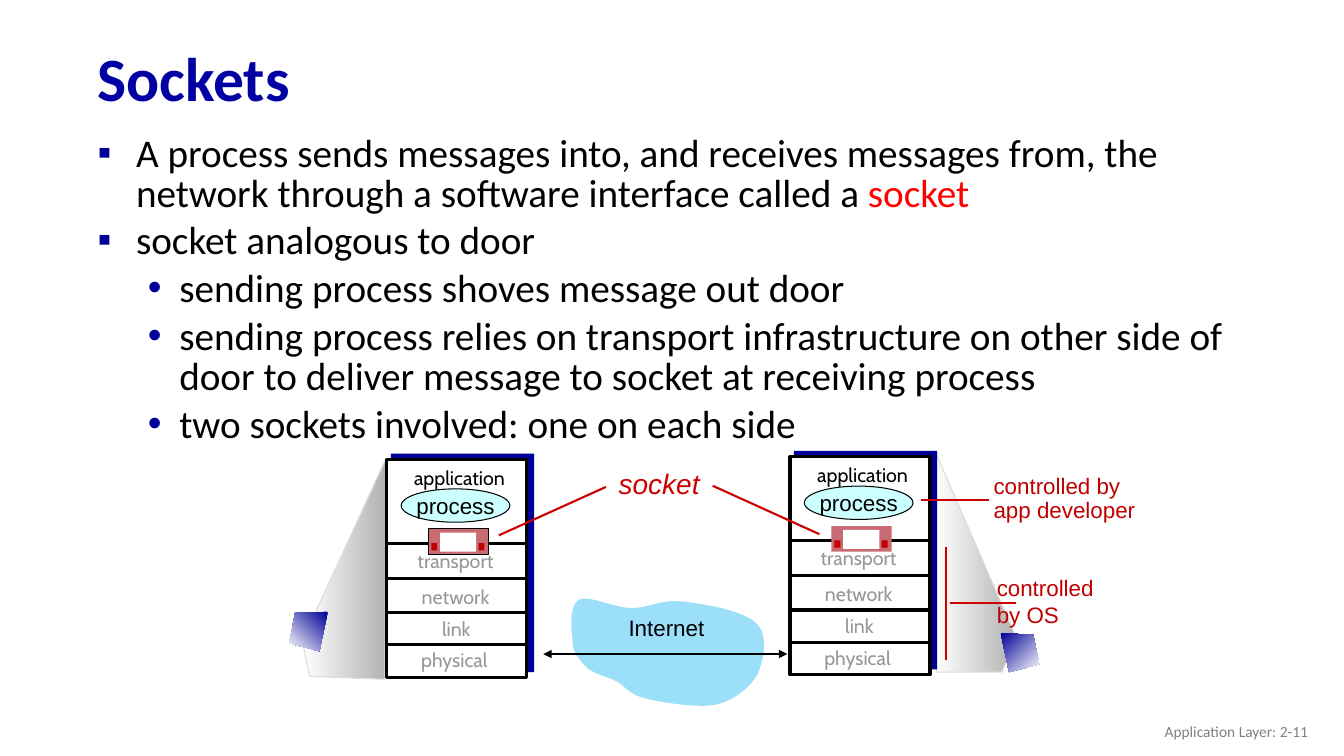
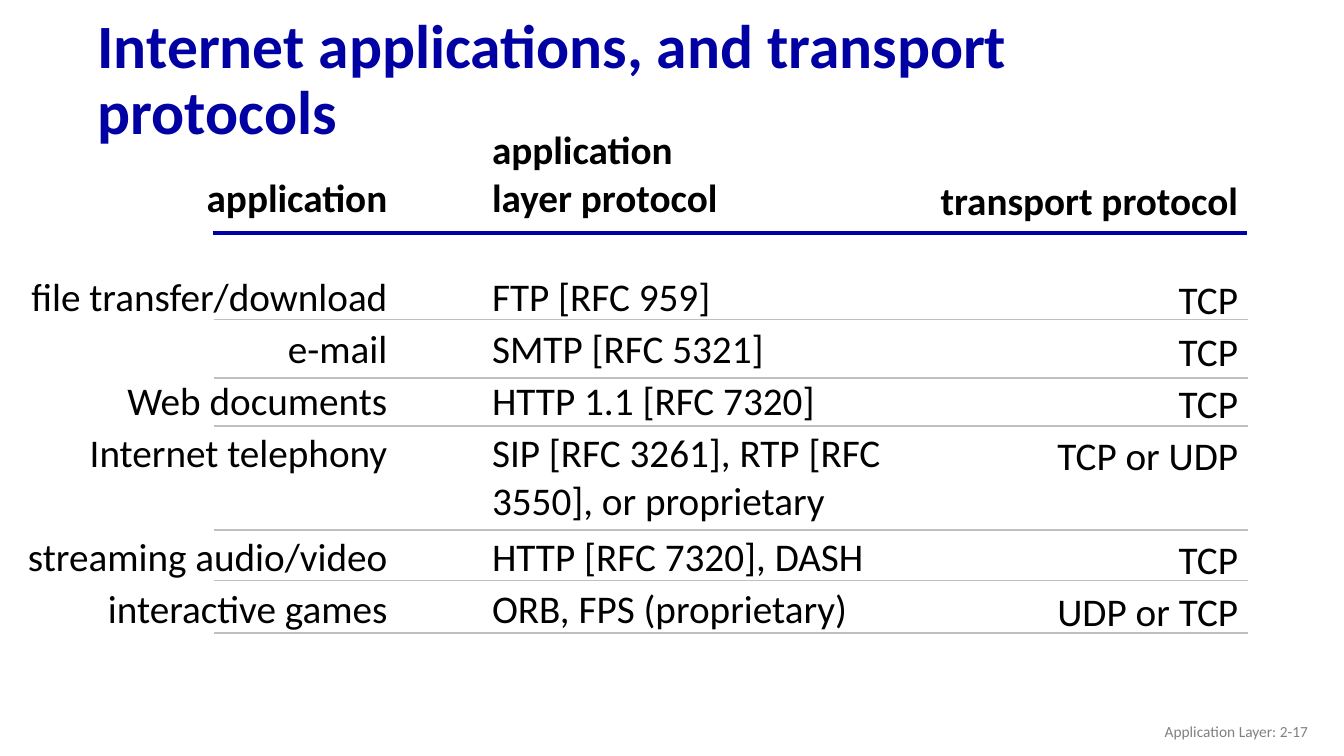
from lxml import etree
from pptx import Presentation
from pptx.chart.data import CategoryChartData  # noqa: F401
from pptx.dml.color import RGBColor
from pptx.enum import shapes, text
from pptx.oxml import ns
from pptx.util import Cm, Pt

TITLE_BLUE = RGBColor(0x00, 0x00, 0xA3)
NAVY = RGBColor(0x00, 0x00, 0x99)
RULE_BLUE = RGBColor(0x00, 0x00, 0xA8)
BLACK = RGBColor(0x00, 0x00, 0x00)
WHITE = RGBColor(0xFF, 0xFF, 0xFF)
RED = RGBColor(0xFF, 0x00, 0x00)
CRIMSON = RGBColor(0xCC, 0x00, 0x00)
DARK_RED = RGBColor(0xC0, 0x00, 0x00)
ROSE = RGBColor(0xC9, 0x6B, 0x72)
PALE_CYAN = RGBColor(0xCC, 0xFF, 0xFF)
CLOUD_BLUE = RGBColor(0x9C, 0xDF, 0xF9)
FOOTER_GRAY = RGBColor(0x80, 0x80, 0x80)
LAYER_GRAY = RGBColor(0x96, 0x96, 0x96)
BEAM_GRAY = RGBColor(0xB2, 0xB2, 0xB2)
EDGE_GRAY = RGBColor(0xDD, 0xDD, 0xDD)
RULE_GRAY = RGBColor(0xBF, 0xBF, 0xBF)

LEFT, CENTER, RIGHT = text.PP_ALIGN.LEFT, text.PP_ALIGN.CENTER, text.PP_ALIGN.RIGHT
TOP, MIDDLE, BOTTOM = (text.MSO_ANCHOR.TOP, text.MSO_ANCHOR.MIDDLE,
                       text.MSO_ANCHOR.BOTTOM)
RECTANGLE, OVAL = shapes.MSO_SHAPE.RECTANGLE, shapes.MSO_SHAPE.OVAL

# Cloud outline in cm: a start point, then cubic curves (two handles and an end)
CLOUD_START = (14.43, 16.1)
CLOUD_CURVES = [
    ((14.38, 15.82), (14.35, 15.24), (14.6, 15.11)),
    ((14.86, 14.99), (15.47, 15.32), (15.9, 15.32)),
    ((16.33, 15.34), (16.66, 15.09), (17.2, 15.16)),
    ((17.73, 15.21), (18.75, 15.39), (19.05, 15.7)),
    ((19.38, 15.98), (19.25, 16.61), (19.1, 16.97)),
    ((18.92, 17.3), (18.54, 17.63), (18.08, 17.75)),
    ((17.6, 17.86), (16.69, 17.7), (16.26, 17.6)),
    ((15.85, 17.5), (15.77, 17.3), (15.54, 17.17)),
    ((15.29, 17.04), (14.96, 16.99), (14.78, 16.81)),
    ((14.61, 16.64), (14.4, 16.41), (14.43, 16.1)),
]

BULLETS = [
    (0, "A process sends messages into, and receives messages from, the network "
        "through a software interface called a ", "socket"),
    (0, "socket analogous to door", ""),
    (1, "sending process shoves message out door", ""),
    (1, "sending process relies on transport infrastructure on other side of door "
        "to deliver message to socket at receiving process", ""),
    (1, "two sockets involved: one on each side", ""),
]
BULLET_LEVELS = [("▪", 0.97, 0.97), ("•", 2.06, 0.79)]  # mark, indent, hang

PROTOCOLS = [
    ("application", "application\nlayer protocol", "transport protocol"),
    ("file transfer/download", "FTP [RFC 959]", "TCP"),
    ("e-mail", "SMTP [RFC 5321]", "TCP"),
    ("Web documents", "HTTP 1.1 [RFC 7320]", "TCP"),
    ("Internet telephony", "SIP [RFC 3261], RTP [RFC 3550], or proprietary",
     "TCP or UDP"),
    ("streaming audio/video", "HTTP [RFC 7320], DASH", "TCP"),
    ("interactive games", "ORB, FPS (proprietary)", "UDP or TCP"),
]


def style(para, size, color, face="Calibri", align=LEFT, spacing=1.0,
          bold=False, italic=False):
    para.alignment = align
    para.line_spacing = spacing
    font = para.font
    font.name, font.size, font.bold, font.italic = face, Pt(size), bold, italic
    font.color.rgb = color


def add_text(page, box, words, size, color, anchor=TOP, **look):
    """Place a text box; each line of words becomes a paragraph."""
    frame = page.shapes.add_textbox(*map(Cm, box)).text_frame
    frame.word_wrap = True
    frame.vertical_anchor = anchor
    frame.text = words
    for para in frame.paragraphs:
        style(para, size, color, **look)


def paint(shape, fill, edge=None, width=0.75):
    shape.shadow.inherit = False
    shape.fill.solid()
    shape.fill.fore_color.rgb = fill
    outline(shape, edge, width)


def outline(shape, edge, width=0.75):
    if edge is None:
        shape.line.fill.background()
    else:
        shape.line.color.rgb = edge
        shape.line.width = Pt(width)


def add_block(page, kind, box, fill, edge=None, width=0.75):
    shape = page.shapes.add_shape(kind, *map(Cm, box))
    paint(shape, fill, edge, width)
    return shape


def add_line(page, start, end, color, width, arrows=False):
    line = page.shapes.add_connector(shapes.MSO_CONNECTOR.STRAIGHT,
                                     *map(Cm, start + end))
    line.line.color.rgb = color
    line.line.width = Pt(width)
    if arrows:
        stroke = line.line._get_or_add_ln()
        for tag in ("a:headEnd", "a:tailEnd"):
            etree.SubElement(stroke, ns.qn(tag), type="triangle")
    etree.SubElement(line._element.spPr, ns.qn("a:effectLst"))


def add_outline(page, points):
    corners = [(Cm(x), Cm(y)) for x, y in points]
    builder = page.shapes.build_freeform(*corners[0], scale=1.0)
    builder.add_line_segments(corners[1:], close=True)
    return builder.convert_to_shape()


def add_gradient(page, points, first, last, angle, edge=None):
    shape = add_outline(page, points)
    shape.shadow.inherit = False
    shape.fill.gradient()
    shape.fill.gradient_angle = angle
    for stop, color in zip(shape.fill.gradient_stops, (first, last)):
        stop.color.rgb = color
    outline(shape, edge)


def add_page(deck, title, number):
    """Add a blank slide with the shared title and footer."""
    page = deck.slides.add_slide(deck.slide_layouts[6])
    add_text(page, (2.21, 0.81, 29.21, 2.49), title, 44, TITLE_BLUE, MIDDLE,
             spacing=0.9, bold=True)
    add_text(page, (25.6, 17.91, 7.62, 1.02), f"Application Layer: 2-{number}",
             11, FOOTER_GRAY, MIDDLE, align=RIGHT)
    return page


def add_bullets(page, box):
    frame = page.shapes.add_textbox(*map(Cm, box)).text_frame
    frame.word_wrap = True
    for index, (level, words, accent) in enumerate(BULLETS):
        para = frame.paragraphs[0] if index == 0 else frame.add_paragraph()
        mark, indent, hang = BULLET_LEVELS[level]
        para.level = level
        para.add_run().text = words
        if accent:
            span = para.add_run()
            span.text = accent
            span.font.color.rgb = RED
        para.space_before = Pt(5.6)
        style(para, 28, BLACK, spacing=0.85)
        props = para._p.get_or_add_pPr()
        props.set("marL", str(Cm(indent)))
        props.set("indent", str(-Cm(hang)))
        tint = etree.Element(ns.qn("a:buClr"))
        etree.SubElement(tint, ns.qn("a:srgbClr"), val=str(NAVY))
        face = etree.Element(ns.qn("a:buFont"), typeface="Arial")
        char = etree.Element(ns.qn("a:buChar"), char=mark)
        defaults = props.find(ns.qn("a:defRPr"))
        for element in (tint, face, char):
            defaults.addprevious(element)


def add_cloud(page):
    points, start = [CLOUD_START], CLOUD_START
    steps = 10
    for a, b, end in CLOUD_CURVES:
        for step in range(1, steps + 1):
            t = step / steps
            u = 1 - t
            points.append(tuple(
                u**3 * p + 3 * u * u * t * q + 3 * u * t * t * r + t**3 * s
                for p, q, r, s in zip(start, a, b, end)))
        start = end
    paint(add_outline(page, points), CLOUD_BLUE)
    add_text(page, (15.32, 15.34, 2.95, 0.94), "Internet", 16, BLACK,
             face="Arial", align=CENTER)
    add_line(page, (13.69, 16.48), (19.84, 16.48), BLACK, 0.75, arrows=True)


def add_socket(page, left, top, edge):
    add_block(page, RECTANGLE, (left, top, 1.52, 0.64), ROSE, edge)
    add_block(page, RECTANGLE, (left + 0.3, top + 0.09, 0.91, 0.48), WHITE)
    for shift in (0.08, 1.27):
        add_block(page, RECTANGLE, (left + shift, top + 0.36, 0.15, 0.18), DARK_RED)


def add_host(page, left, top, socket_edge=None):
    """Draw one protocol stack with its process and socket."""
    width = 3.53
    add_block(page, RECTANGLE, (left + 0.1, top - 0.15, 3.61, 5.51), NAVY)
    add_block(page, RECTANGLE, (left, top, width, 5.49), WHITE, BLACK, 2.25)
    for drop in (2.11, 3.0, 3.86, 4.67):
        add_line(page, (left, top + drop), (left + width, top + drop), BLACK, 2.25)
    layers = [("application", 0, -0.03, BLACK), ("transport", -0.1, 2.06, LAYER_GRAY),
              ("network", -0.1, 2.97, LAYER_GRAY), ("link", -0.08, 3.78, LAYER_GRAY),
              ("physical", -0.13, 4.57, LAYER_GRAY)]
    for name, shift, drop, color in layers:
        add_text(page, (left + shift, top + drop, 3.66, 0.91), name, 14, color,
                 face="Cabin", align=CENTER, spacing=1.1)
    process = add_block(page, OVAL, (left + 0.36, top + 0.74, 2.74, 0.84),
                        PALE_CYAN, BLACK)
    frame = process.text_frame
    frame.word_wrap = False
    frame.vertical_anchor = MIDDLE
    frame.text = "process"
    style(frame.paragraphs[0], 16, BLACK, "Arial", CENTER)
    add_socket(page, left + 1.04, top + 1.75, socket_edge)


def add_callouts(page):
    add_text(page, (24.87, 14.35, 3.4, 2.29), "controlled\nby OS", 16, DARK_RED,
             face="Arial")
    add_text(page, (24.79, 11.84, 4.4, 1.47), "controlled by\napp developer", 16,
             DARK_RED, face="Arial", spacing=0.9)
    add_text(page, (15.34, 11.73, 2.8, 1.02), "socket", 20, CRIMSON, face="Arial",
             spacing=0.9, italic=True)
    for start, end in [((24.92, 12.6), (23.22, 12.6)), ((23.85, 13.79), (23.85, 16.64)),
                       ((25.6, 15.19), (23.93, 15.19)), ((12.57, 13.49), (15.27, 12.27)),
                       ((20.65, 13.46), (17.96, 12.24))]:
        add_line(page, start, end, CRIMSON, 1.5)


def build_sockets(deck):
    page = add_page(deck, "Sockets", 11)
    add_bullets(page, (2.21, 3.28, 30.45, 6.48))
    add_gradient(page, [(25.6, 16.05), (23.57, 11.38), (23.6, 16.94), (25.25, 16.94)],
                 WHITE, BEAM_GRAY, 0, EDGE_GRAY)
    add_cloud(page)
    add_gradient(page, [(7.62, 16.15), (9.73, 11.56), (9.7, 17.12), (7.8, 17.04)],
                 WHITE, BEAM_GRAY, 0, EDGE_GRAY)
    add_host(page, 9.75, 11.58, BLACK)
    add_host(page, 19.91, 11.51)
    add_callouts(page)
    add_gradient(page, [(8.26, 15.42), (7.44, 15.44), (7.29, 16.21), (8.05, 16.41)],
                 NAVY, WHITE, 225)
    add_gradient(page, [(25.22, 15.95), (26.04, 16), (26.19, 16.74), (25.43, 16.94)],
                 NAVY, WHITE, 315)


def add_protocol_table(page, left, top):
    widths = (9.68, 13.31, 8.13)
    heights = [3.84] + [1.31] * 3 + [2.61] + [1.31] * 2
    columns = [(RIGHT, 0, 0), (LEFT, 2.39, 0), (RIGHT, 0, 0.08)]  # side, inset, drop
    frame = page.shapes.add_table(len(heights), len(widths), Cm(left), Cm(top),
                                  Cm(sum(widths)), Cm(sum(heights)))
    table = frame.table
    table.first_row = table.horz_banding = False
    for column, width in zip(table.columns, widths):
        column.width = Cm(width)
    for index, (row, height, words) in enumerate(zip(table.rows, heights, PROTOCOLS)):
        row.height = Cm(height)
        heading = index == 0
        for cell, phrase, (align, inset, drop) in zip(row.cells, words, columns):
            cell.fill.background()
            cell.margin_left, cell.margin_right = Cm(inset), Cm(0.25)
            cell.margin_top = Cm(0 if heading else 0.02 + drop)
            cell.margin_bottom = Cm(1.27 - drop if heading else 0)
            cell.vertical_anchor = BOTTOM if heading else TOP
            cell.text = phrase
            for para in cell.text_frame.paragraphs:
                style(para, 28, BLACK, align=align, bold=heading)
    # The plain style without grid lines leaves the rules to the page
    style_id = table._tbl.tblPr.find(ns.qn("a:tableStyleId"))
    style_id.text = "{2D5ABB26-0587-4C30-8999-92F81FD0307C}"


def build_protocols(deck):
    page = add_page(deck, "Internet applications, and transport protocols", 17)
    add_protocol_table(page, 0.33, 3.05)
    add_line(page, (5.36, 5.87), (31.42, 5.87), RULE_BLUE, 2.5)
    for height in (8.05, 9.53, 10.74, 13.36, 14.63, 15.95):
        add_line(page, (5.4, height), (31.45, height), RULE_GRAY, 1.25)


def main():
    deck = Presentation()
    deck.slide_width, deck.slide_height = Cm(33.87), Cm(19.05)
    build_sockets(deck)
    build_protocols(deck)
    deck.save("out.pptx")


if __name__ == "__main__":
    main()
